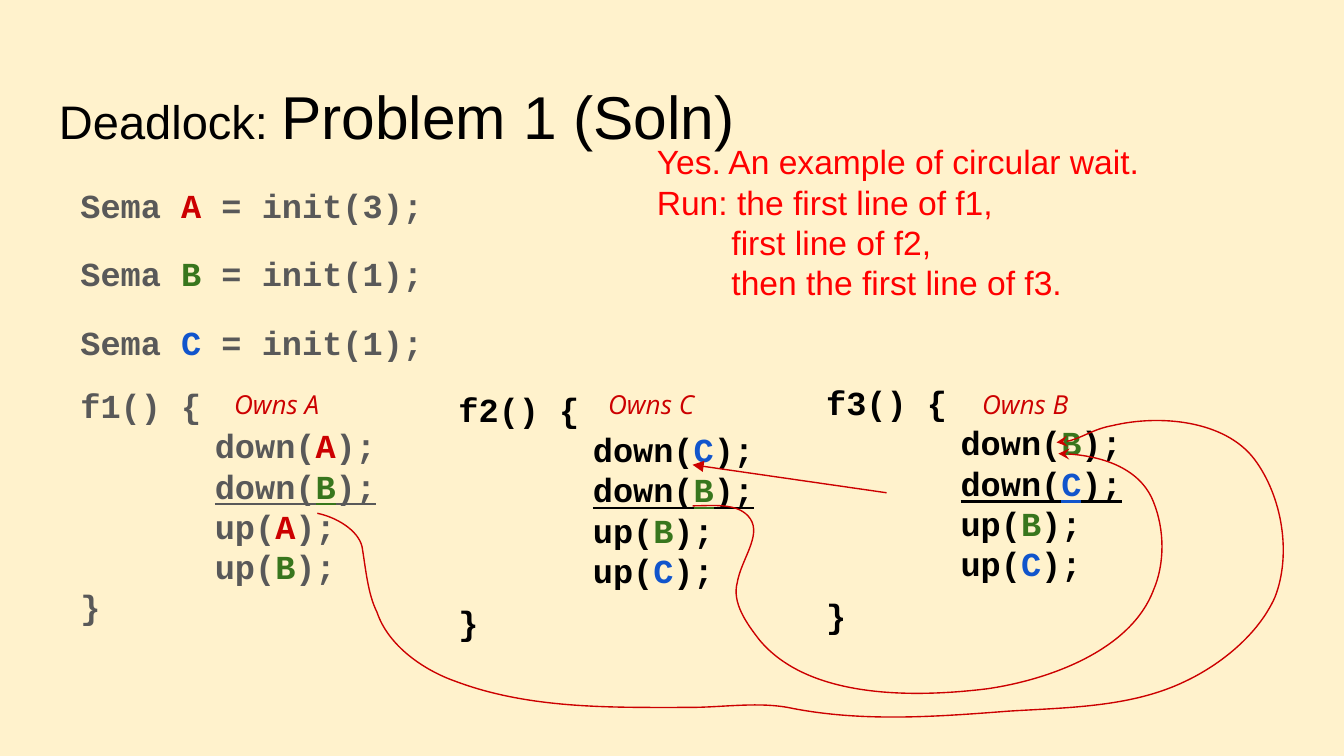
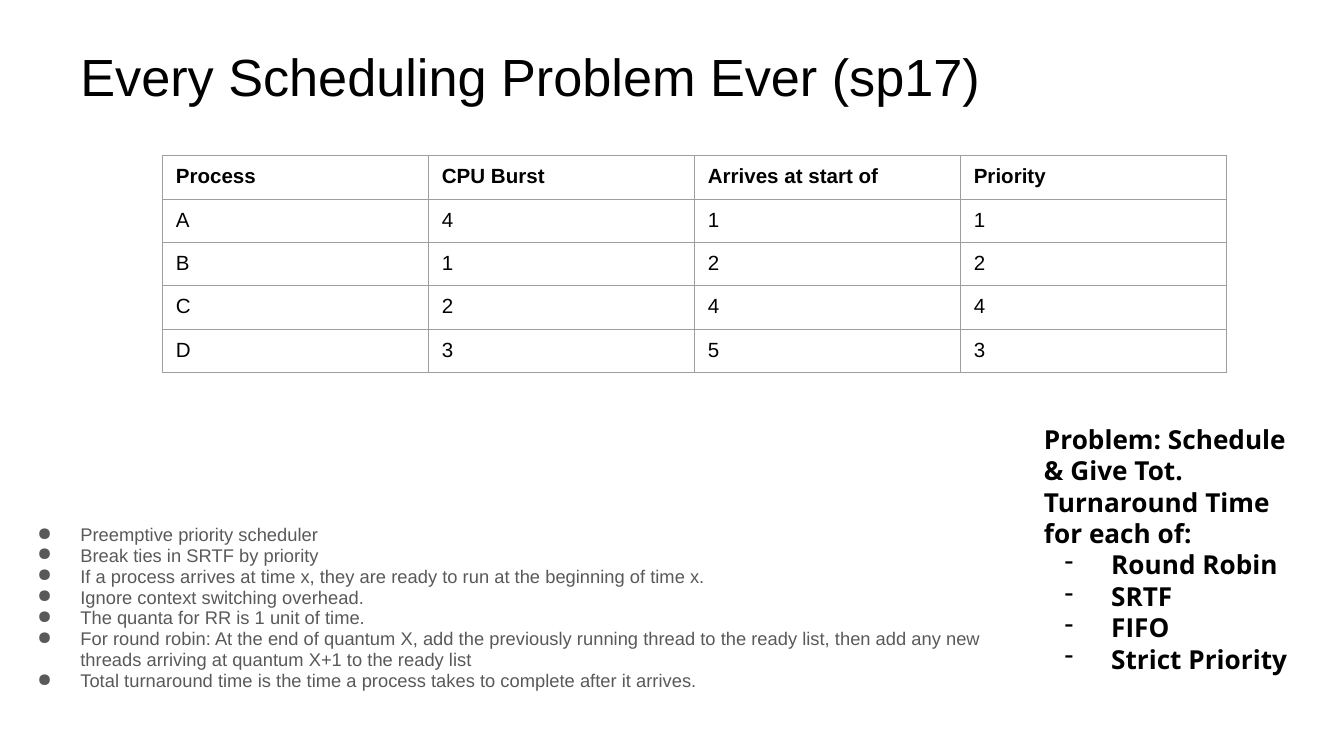
"""Build two operating-systems slides: a deadlock solution and a scheduling problem."""
from itertools import groupby

from lxml.etree import SubElement
from pptx import Presentation
from pptx.dml.color import RGBColor
from pptx.enum.shapes import MSO_CONNECTOR
from pptx.oxml import parse_xml
from pptx.oxml.ns import nsdecls, qn
from pptx.util import Pt

CREAM = RGBColor(0xFF, 0xF2, 0xCC)
WHITE = RGBColor(0xFF, 0xFF, 0xFF)
BLACK = RGBColor(0x00, 0x00, 0x00)
GRAY = RGBColor(0x59, 0x59, 0x59)
BORDER_GRAY = RGBColor(0x9E, 0x9E, 0x9E)
BRIGHT_RED = RGBColor(0xFF, 0x00, 0x00)
RED = RGBColor(0xCC, 0x00, 0x00)
GREEN = RGBColor(0x38, 0x76, 0x1D)
BLUE = RGBColor(0x11, 0x55, 0xCC)
SEMAPHORE_COLORS = {"A": RED, "B": GREEN, "C": BLUE}


def add_text(slide, box, lines, font="Arial", size=18, color=BLACK, bold=False, italic=False):
    """Add a wrapped text box with one paragraph per line and return its paragraphs."""
    frame = slide.shapes.add_textbox(*map(Pt, box)).text_frame
    frame.word_wrap = True
    frame.margin_left = frame.margin_right = Pt(7.2)
    frame.margin_top = frame.margin_bottom = Pt(7.2)
    frame.text = "\n".join(lines)
    for paragraph in frame.paragraphs:
        for run in paragraph.runs:
            run.font.name = font
            run.font.size = Pt(size)
            run.font.color.rgb = color
            run.font.bold = bold
            run.font.italic = italic
    return frame.paragraphs


def add_code(slide, box, lines, color):
    """Add a code listing with coloured semaphore names and underlined blocking calls."""
    paragraphs = add_text(slide, box, [""] * len(lines))
    downs = 0
    for paragraph, line in zip(paragraphs, lines):
        downs += line.startswith("down")
        if line.startswith(("down", "up")):
            paragraph._p.get_or_add_pPr().set("marL", str(Pt(72)))
        for name, letters in groupby(line, SEMAPHORE_COLORS.get):
            run = paragraph.add_run()
            run.text = "".join(letters)
            run.font.name = "Courier New"
            run.font.size = Pt(18)
            run.font.bold = True
            run.font.underline = line.startswith("down") and downs == 2
            run.font.color.rgb = name or color
    return paragraphs


presentation = Presentation()
presentation.slide_width = Pt(720)
presentation.slide_height = Pt(405)
deadlock, scheduling = [
    presentation.slides.add_slide(presentation.slide_layouts[6]) for _ in range(2)
]
for slide, background in ((deadlock, CREAM), (scheduling, WHITE)):
    slide.background.fill.solid()
    slide.background.fill.fore_color.rgb = background

title = add_text(deadlock, (24.5, 35.3, 671, 45), ["Deadlock: "], size=25.2)[0]
topic = title.add_run()
topic.text = "Problem 1 (Soln)"
topic.font.name = "Arial"
topic.font.size = Pt(32.4)
topic.font.color.rgb = BLACK

f1, f2, f3 = [
    [
        f"{function}() {{",
        *(f"down({name});" for name in downs),
        *(f"up({name});" for name in ups),
        "}",
    ]
    for function, downs, ups in (("f1", "AB", "AB"), ("f2", "CB", "BC"), ("f3", "BC", "BC"))
]
semaphores = [f"Sema {name} = init({count});" for name, count in (("A", 3), ("B", 1), ("C", 1))]

listing = add_code(deadlock, (36, 88.5, 648, 293), semaphores + f1, GRAY)
for paragraph in listing[:3]:
    paragraph.line_spacing = 1.15
for paragraph in listing[1:4]:
    paragraph.space_before = Pt(12)

answer = add_text(
    deadlock,
    (344.8, 68.4, 343, 181),
    [
        "Yes. An example of circular wait.",
        "Run: the first line of f1,",
        "first line of f2,",
        "then the first line of f3.",
    ],
    color=BRIGHT_RED,
)
for paragraph in answer[2:]:
    paragraph._p.get_or_add_pPr().set("marL", str(Pt(40)))

for left, top, lines in ((238.5, 201, f2), (435.5, 197.5, f3)):
    add_code(deadlock, (left, top, 243, 207), lines, BLACK)[-1].space_before = Pt(6)

for left, owned in ((118.3, "A"), (318.7, "C"), (519, "B")):
    add_text(deadlock, (left, 201, 76, 34.5), [f"Owns {owned}"], "Open Sans", 14, RED, italic=True)

f3_waits = deadlock.shapes.add_connector(
    MSO_CONNECTOR.STRAIGHT, Pt(475), Pt(264), Pt(371), Pt(249)
)
SubElement(f3_waits._element.spPr, qn("a:effectLst"))
arrows = [(f3_waits, "triangle")]

f2_wait_route = [
    (371, 271),
    (382, 271), (396, 269), (402, 278),
    (408, 287), (397, 300), (395, 312),
    (392, 323), (400, 334), (407, 343),
    (433, 374), (488, 374), (529, 369),
    (563, 364), (606, 348), (618, 316),
    (624, 302), (624, 284), (618, 269),
    (611, 251), (587, 243), (567, 243),
]
f1_wait_route = [
    (170, 275),
    (180, 277), (192, 284), (194, 293),
    (196, 305), (197, 318), (202, 328),
    (208, 346), (227, 359), (244, 365),
    (284, 380), (328, 379), (369, 379),
    (387, 379), (405, 376), (422, 379),
    (461, 387), (501, 384), (540, 381),
    (572, 379), (606, 379), (635, 365),
    (654, 356), (674, 340), (683, 320),
    (692, 297), (687, 266), (672, 246),
    (656, 225), (621, 222), (596, 228),
    (585, 230), (577, 237), (566, 237),
]
for start, *controls in (f2_wait_route, f1_wait_route):
    builder = deadlock.shapes.build_freeform(*start, scale=Pt(1))
    builder.add_line_segments(controls, close=False)
    curve = builder.convert_to_shape()
    curve.shadow.inherit = False
    curve.fill.background()
    segments = list(curve._element.iter(qn("a:lnTo")))
    for index in range(0, len(segments), 3):
        bezier = SubElement(segments[index].getparent(), qn("a:cubicBezTo"))
        for segment in segments[index:index + 3]:
            bezier.append(segment[0])
            segment.getparent().remove(segment)
    arrows.append((curve, "stealth"))

for arrow, head in arrows:
    arrow.line.color.rgb = RED
    arrow.line.width = Pt(0.75)
    SubElement(arrow.line._get_or_add_ln(), qn("a:tailEnd"), type=head)

add_text(scheduling, (36, 16.5, 684, 68), ["Every Scheduling Problem Ever (sp17)"], size=28)

rules = add_text(
    scheduling,
    (0, 274, 557, 115),
    [
        "Preemptive priority scheduler",
        "Break ties in SRTF by priority",
        "If a process arrives at time x, they are ready to run at the beginning of time x.",
        "Ignore context switching overhead.",
        "The quanta for RR is 1 unit of time.",
        "For round robin: At the end of quantum X, add the previously running thread to the "
        "ready list, then add any new threads arriving at quantum X+1 to the ready list",
        "Total turnaround time is the time a process takes to complete after it arrives.",
    ],
    size=9.8,
    color=GRAY,
)
for paragraph in rules:
    paragraph.line_spacing = 0.95

processes = [
    ("Process", "CPU Burst", "Arrives at start of", "Priority"),
    ("A", "4", "1", "1"),
    ("B", "1", "2", "2"),
    ("C", "2", "4", "4"),
    ("D", "3", "5", "3"),
]
table = scheduling.shapes.add_table(5, 4, Pt(87), Pt(83.5), Pt(570), Pt(115)).table
table.horz_banding = False
for row_index, values in enumerate(processes):
    table.rows[row_index].height = Pt(23)
    for column_index, value in enumerate(values):
        cell = table.cell(row_index, column_index)
        cell.margin_left = cell.margin_right = Pt(7.2)
        cell.margin_top = cell.margin_bottom = Pt(5)
        cell.text_frame.text = value
        font = cell.text_frame.paragraphs[0].runs[0].font
        font.name = "Arial"
        font.size = Pt(11)
        font.bold = row_index == 0
        font.color.rgb = BLACK
        for side in "LRTB":
            cell._tc.get_or_add_tcPr().append(parse_xml(
                f'<a:ln{side} {nsdecls("a")} w="{Pt(0.75)}"><a:solidFill>'
                f'<a:srgbClr val="{BORDER_GRAY}"/></a:solidFill></a:ln{side}>'
            ))
        cell.fill.background()

tasks = add_text(
    scheduling,
    (552.2, 219.6, 152.6, 168.5),
    [
        "Problem: Schedule & Give Tot. Turnaround Time for each of:",
        "Round Robin",
        "SRTF",
        "FIFO",
        "Strict Priority",
    ],
    "Open Sans",
    14,
    bold=True,
)

for paragraphs, bullet, color, hanging in ((rules, "●", GRAY, 23), (tasks[1:], "-", BLACK, 25)):
    for paragraph in paragraphs:
        properties = paragraph._p.get_or_add_pPr()
        properties.set("marL", str(Pt(36)))
        properties.set("indent", str(-Pt(hanging)))
        bullet_color = SubElement(properties, qn("a:buClr"))
        SubElement(bullet_color, qn("a:srgbClr"), val=str(color))
        SubElement(properties, qn("a:buChar"), char=bullet)

presentation.save("out.pptx")
